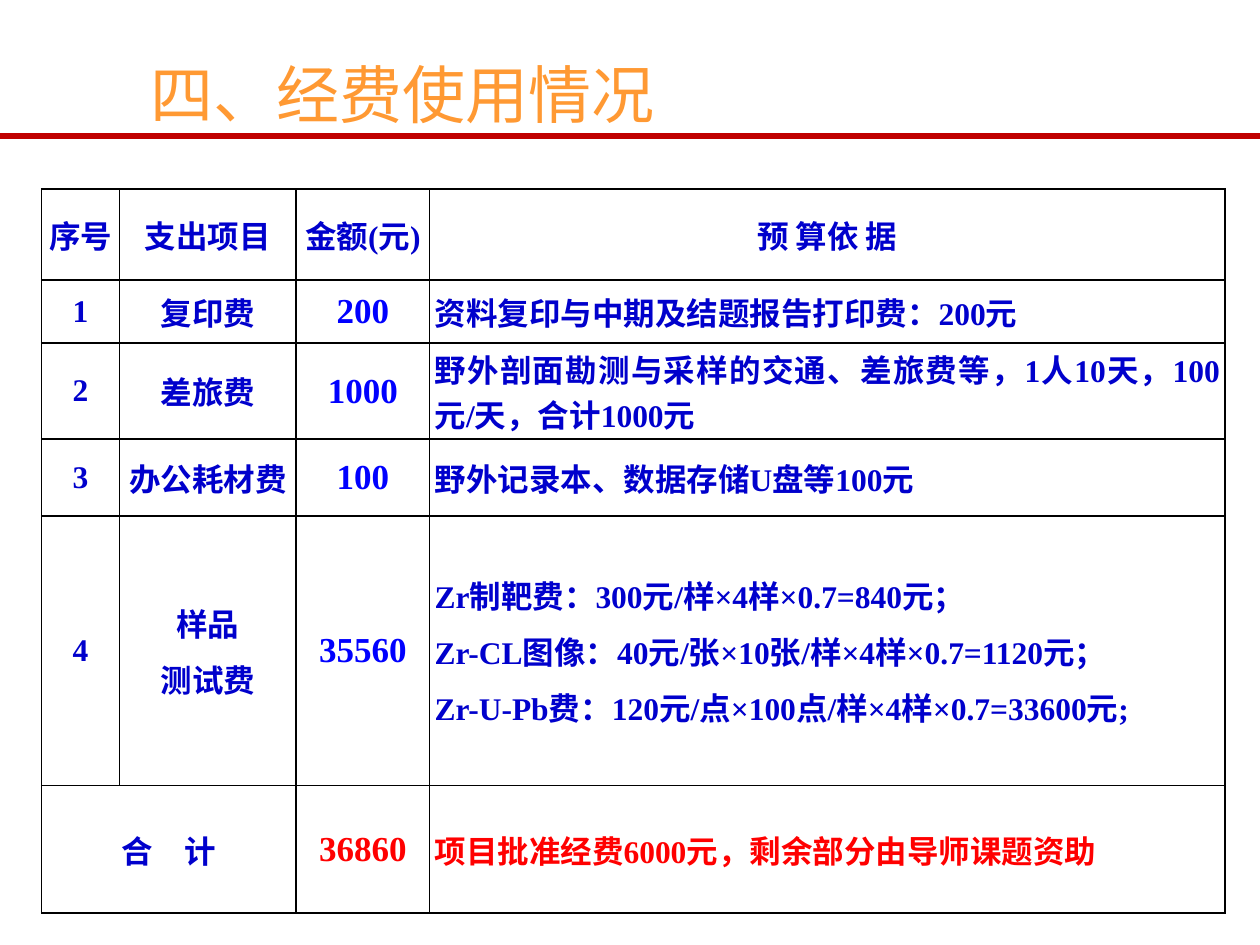
from dataclasses import dataclass

import pptx
import pptx.dml.color
import pptx.enum.shapes
import pptx.enum.text
import pptx.oxml.ns
import pptx.util
from lxml import etree
from pptx.util import Cm, Pt

FONT = "Times New Roman"
NAVY, BLUE, RED = "0000CC", "0000FF", "FF0000"
CENTER = pptx.enum.text.PP_ALIGN.CENTER
JUSTIFY = pptx.enum.text.PP_ALIGN.JUSTIFY


@dataclass
class Entry:
    """One table row; a line break inside a text starts a new paragraph."""
    height: float
    texts: tuple[str, str, str, str]
    amount_color: str = BLUE
    basis_color: str = NAVY


COLUMN_WIDTHS = (1.57, 3.56, 2.69, 16.03)
ENTRIES = [
    Entry(0.99, ("序号", "支出项目", "金额(元)", "预 算依 据")),
    Entry(1.27, ("1", "复印费", "200", "资料复印与中期及结题报告打印费：200元")),
    Entry(1.93, ("2", "差旅费", "1000",
                 "野外剖面勘测与采样的交通、差旅费等，1人10天，100元/天，合计1000元")),
    Entry(1.55, ("3", "办公耗材费", "100", "野外记录本、数据存储U盘等100元")),
    Entry(5.44, ("4", "样品\n测试费", "35560",
                 "Zr制靶费：300元/样×4样×0.7=840元；\n"
                 "Zr-CL图像：40元/张×10张/样×4样×0.7=1120元；\n"
                 "Zr-U-Pb费：120元/点×100点/样×4样×0.7=33600元;")),
    Entry(2.57, ("合　计", "", "36860", "项目批准经费6000元，剩余部分由导师课题资助"),
          RED, RED),
]


def rgb(color: str) -> pptx.dml.color.RGBColor:
    return pptx.dml.color.RGBColor.from_string(color)


def add_span(para, text: str, size: float, color: str, bold: bool = False) -> None:
    span = para.add_run()
    span.text = text
    span.font.name = FONT
    span.font.size = Pt(size)
    span.font.bold = bold
    span.font.color.rgb = rgb(color)


def add_borders(cell, color: str = "000000", width: float = 1) -> None:
    properties = cell._tc.get_or_add_tcPr()
    qn = pptx.oxml.ns.qn
    for side in ("a:lnL", "a:lnR", "a:lnT", "a:lnB"):
        border = etree.SubElement(properties, qn(side), w=str(Pt(width)))
        fill = etree.SubElement(border, qn("a:solidFill"))
        etree.SubElement(fill, qn("a:srgbClr"), val=color)


def fill_cell(cell, text: str, size: float, color: str, align) -> None:
    add_borders(cell)
    cell.fill.solid()
    cell.fill.fore_color.rgb = rgb("FFFFFF")
    cell.margin_left = cell.margin_right = Cm(0.1)
    cell.margin_top = cell.margin_bottom = 0
    cell.vertical_anchor = pptx.enum.text.MSO_ANCHOR.MIDDLE
    if not text:
        return
    for index, line in enumerate(text.split("\n")):
        frame = cell.text_frame
        para = frame.add_paragraph() if index else frame.paragraphs[0]
        para.alignment = align
        if index:
            para.space_before = Pt(6)
        add_span(para, line, size, color, bold=True)


def add_budget_table(page) -> None:
    table = page.shapes.add_table(
        len(ENTRIES), len(COLUMN_WIDTHS), Cm(0.84), Cm(3.81),
        Cm(sum(COLUMN_WIDTHS)), Cm(sum(entry.height for entry in ENTRIES))).table
    table.first_row = table.horz_banding = False
    for column, width in zip(table.columns, COLUMN_WIDTHS):
        column.width = Cm(width)
    for row, entry in enumerate(ENTRIES):
        table.rows[row].height = Cm(entry.height)
        for column, text in enumerate(entry.texts):
            size, color, align = 18, NAVY, CENTER
            if row and column == 2:
                size, color = 20, entry.amount_color
            elif row and column == 3:
                color, align = entry.basis_color, JUSTIFY
            fill_cell(table.cell(row, column), text, size, color, align)
    # The total label covers the first two columns
    last = len(ENTRIES) - 1
    table.cell(last, 0).merge(table.cell(last, 1))


def add_title(page, text: str) -> None:
    box = page.shapes.add_textbox(Cm(2.79), Cm(0.23), Cm(10.77), Cm(2.21))
    box.text_frame.word_wrap = False
    box.text_frame.auto_size = pptx.enum.text.MSO_AUTO_SIZE.SHAPE_TO_FIT_TEXT
    para = box.text_frame.paragraphs[0]
    para.alignment = JUSTIFY
    para.line_spacing = 1.5
    add_span(para, text, 36, "FF9933")


def add_rule(page, top: float, width: int) -> None:
    rule = page.shapes.add_connector(
        pptx.enum.shapes.MSO_CONNECTOR.STRAIGHT, 0, Cm(top), width, Cm(top))
    rule.line.color.rgb = rgb("C00000")
    rule.line.width = Pt(3)
    etree.SubElement(rule._element.spPr, pptx.oxml.ns.qn("a:effectLst"))


def main() -> None:
    deck = pptx.Presentation()
    deck.slide_width, deck.slide_height = Cm(25.4), Cm(19.05)
    page = deck.slides.add_slide(deck.slide_layouts[6])

    # Budget table
    add_budget_table(page)

    # Heading and the rule under it
    add_title(page, "四、经费使用情况")
    add_rule(page, 2.74, deck.slide_width)

    deck.save("out.pptx")


if __name__ == "__main__":
    main()
